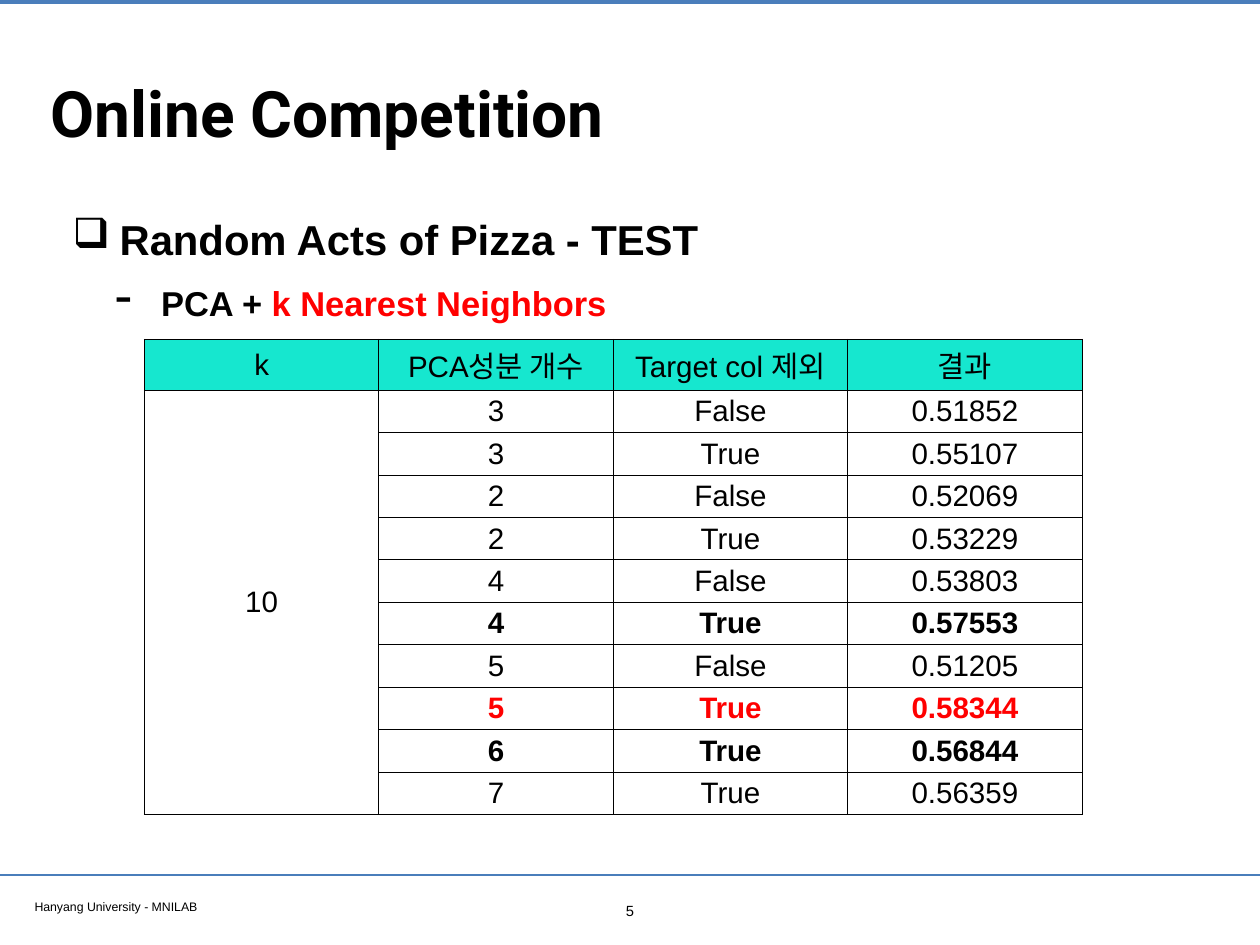
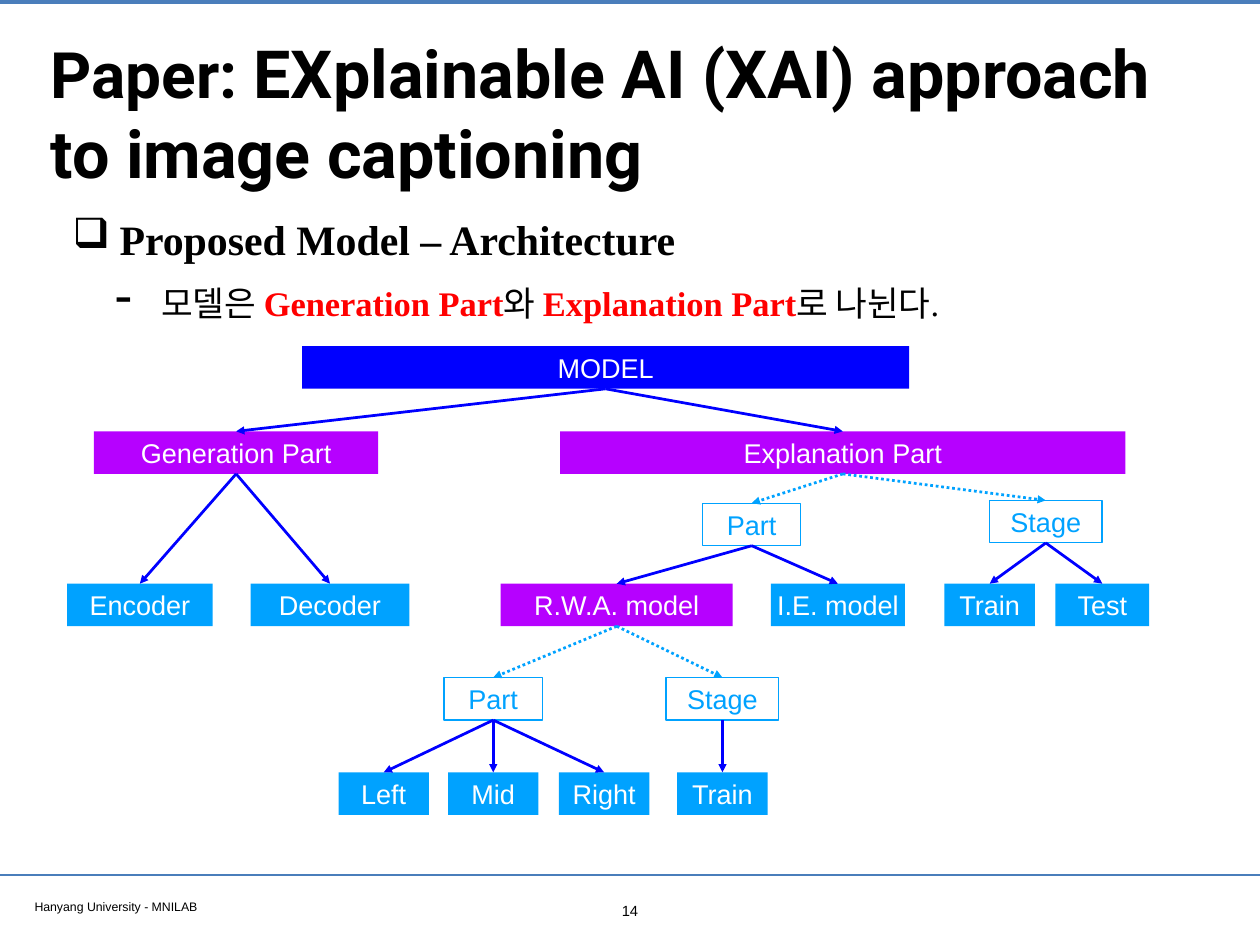
from dataclasses import dataclass

from lxml import etree
from pptx import Presentation
from pptx import util as u
from pptx.dml.color import RGBColor
from pptx.enum import dml, shapes, text
from pptx.oxml import ns


@dataclass(frozen=True)
class Theme:
    """Colours, fonts and type sizes shared by all slides."""
    black: str = "000000"
    white: str = "FFFFFF"
    red: str = "FF0000"
    rule: str = "4A7EBB"
    head: str = "16E7CF"
    blue: str = "0000FF"
    violet: str = "B601FF"
    sky: str = "00A2FF"
    sans: str = "Arial"
    serif: str = "Times New Roman"
    title: str = "Roboto"
    big: int = 52
    huge: int = 54
    topic: int = 34
    point: int = 28
    cell: int = 24
    node: int = 22
    page: int = 12
    foot: int = 10
    pad: float = 0.15


T = Theme()


@dataclass
class Node:
    """One box of the tree: label, look, centre, width, top and children."""
    label: str
    look: str
    mid: float
    wide: float
    top: float
    kids: tuple = ()


def add(parent, tag, **attrs):
    return etree.SubElement(parent, ns.qn(tag), attrs)


def style(run, size, color=T.black, bold=False, face=T.sans):
    font = run.font
    font.size, font.bold, font.name = u.Pt(size), bold, face
    font.color.rgb = RGBColor.from_string(color)


class Deck:
    WIDE, HIGH = 36.12, 27.1
    TALL = 1.22
    # look: fill, line, text
    LOOKS = {
        "root": (T.blue, None, T.white),
        "main": (T.violet, None, T.white),
        "leaf": (T.sky, None, T.white),
        "group": (T.white, T.sky, T.sky),
    }

    def __init__(self):
        self.prs = Presentation()
        self.prs.slide_width = u.Cm(self.WIDE)
        self.prs.slide_height = u.Cm(self.HIGH)
        self.slide = None

    def start(self, page, title):
        """Open a slide with its rules, footer, page number and title."""
        self.slide = self.prs.slides.add_slide(self.prs.slide_layouts[6])
        for y, width in ((0.05, 3.2), (25.1, 2)):
            self.line((0, y), (self.WIDE, y), T.rule, width)
        foot = self.box(0.84, 25.63, 13.87, 0.66)
        self.words(foot.paragraphs[0], [("Hanyang University - MNILAB", {})],
                   size=T.foot)
        num = self.box(17.56, 25.7, 1, 0.79)
        num.paragraphs[0].alignment = text.PP_ALIGN.CENTER
        self.words(num.paragraphs[0], [(str(page), {})], size=T.page)
        head = self.box(1.3, 0.71, 33.55, 5)
        head.vertical_anchor = text.MSO_ANCHOR.MIDDLE
        self.words(head.paragraphs[0], title,
                   size=T.big, bold=True, face=T.title)

    def frame(self, tf, wrap=True):
        tf.word_wrap = wrap
        tf.margin_left = tf.margin_right = u.Cm(T.pad)
        tf.margin_top = tf.margin_bottom = u.Cm(T.pad)
        return tf

    def box(self, *area):
        shape = self.slide.shapes.add_textbox(*map(u.Cm, area))
        return self.frame(shape.text_frame)

    def words(self, par, parts, **base):
        """Fill a paragraph with (text, changes) parts."""
        for part, diff in parts:
            run = par.add_run()
            run.text = part
            style(run, **{**base, **diff})

    def line(self, start, end, color, width):
        rule = self.slide.shapes.add_connector(
            shapes.MSO_CONNECTOR.STRAIGHT, *map(u.Cm, start + end))
        rule.line.color.rgb = RGBColor.from_string(color)
        rule.line.width = u.Pt(width)
        add(rule.element.spPr, "a:effectLst")
        return rule

    def body(self, topic, point, face):
        """Set the topic line and the dashed point below it."""
        tf = self.box(1.93, 5.69, 32, 4)
        rows = (
            (tf.paragraphs[0], topic, T.topic, 1.35, 1.35, "❑", 100),
            (tf.add_paragraph(), point, T.point, 2.54, 1.32, "-", 145),
        )
        for level, (par, parts, size, left, hang, mark, scale) in enumerate(rows):
            par.line_spacing = 1.2
            if level:
                par.space_before = u.Pt(8)
            props = par._p.get_or_add_pPr()
            props.set("marL", str(u.Cm(left)))
            props.set("indent", str(-u.Cm(hang)))
            add(props, "a:buSzPct", val=str(scale * 1000))
            add(props, "a:buChar", char=mark)
            self.words(par, parts, size=size, bold=True, face=face)

    def table(self, left, top, wide, heads, rows, marks):
        """Draw a grid whose first column is merged below the header."""
        data = [heads] + rows
        tall = [1.46] + [1.2] * len(rows)
        grid = self.slide.shapes.add_table(
            len(data), len(heads), u.Cm(left), u.Cm(top),
            u.Cm(wide * len(heads)), u.Cm(sum(tall))).table
        grid.first_row = grid.horz_banding = False
        for col in grid.columns:
            col.width = u.Cm(wide)
        grid.cell(1, 0).merge(grid.cell(len(rows), 0))
        for r, row in enumerate(data):
            grid.rows[r].height = u.Cm(tall[r])
            for c, label in enumerate(row):
                self.cell(grid.cell(r, c), label, r == 0,
                          marks.get(r) if c else None)

    def cell(self, cell, label, head, mark):
        cell.text_frame.text = label
        cell.vertical_anchor = text.MSO_ANCHOR.MIDDLE
        cell.margin_top = cell.margin_bottom = u.Cm(0.1)
        par = cell.text_frame.paragraphs[0]
        par.alignment = text.PP_ALIGN.CENTER
        for run in par.runs:
            style(run, T.cell, mark or T.black, mark is not None)
        # Borders come before the fill
        props = cell._tc.get_or_add_tcPr()
        for side in "LRTB":
            edge = add(props, f"a:ln{side}", w=str(u.Pt(1)))
            add(add(edge, "a:solidFill"), "a:srgbClr", val=T.black)
        if head:
            cell.fill.solid()
            cell.fill.fore_color.rgb = RGBColor.from_string(T.head)
        else:
            cell.fill.background()

    def tree(self, node):
        """Draw a node, its children and the arrows to them."""
        shape = self.node(node)
        for kid in node.kids:
            self.arrow(shape, self.tree(kid), kid.look == "group")
        return shape

    def node(self, node):
        fill, edge, ink = self.LOOKS[node.look]
        shape = self.slide.shapes.add_shape(
            shapes.MSO_SHAPE.RECTANGLE, u.Cm(node.mid - node.wide / 2),
            u.Cm(node.top), u.Cm(node.wide), u.Cm(self.TALL))
        shape.shadow.inherit = False
        shape.fill.solid()
        shape.fill.fore_color.rgb = RGBColor.from_string(fill)
        if edge:
            shape.line.color.rgb = RGBColor.from_string(edge)
            shape.line.width = u.Pt(1)
        else:
            shape.line.fill.background()
        tf = self.frame(shape.text_frame, wrap=False)
        tf.text = node.label
        tf.vertical_anchor = text.MSO_ANCHOR.MIDDLE
        tf.paragraphs[0].alignment = text.PP_ALIGN.CENTER
        style(tf.paragraphs[0].runs[0], T.node, ink)
        return shape

    def arrow(self, upper, lower, dotted):
        link = self.line((0, 0), (0, 0), T.sky if dotted else T.blue, 2.25)
        link.begin_connect(upper, 2)
        link.end_connect(lower, 0)
        if dotted:
            link.line.dash_style = dml.MSO_LINE.ROUND_DOT
        add(link.element.spPr.get_or_add_ln(), "a:tailEnd", type="triangle")


def scores(deck):
    deck.start(5, [("Online Competition", {})])
    deck.body([("Random Acts of Pizza - TEST", {})],
              [("PCA + ", {}), ("k Nearest Neighbors", {"color": T.red})],
              T.sans)
    runs = [
        ("3", "False", "0.51852"), ("3", "True", "0.55107"),
        ("2", "False", "0.52069"), ("2", "True", "0.53229"),
        ("4", "False", "0.53803"), ("4", "True", "0.57553"),
        ("5", "False", "0.51205"), ("5", "True", "0.58344"),
        ("6", "True", "0.56844"), ("7", "True", "0.56359"),
    ]
    rows = [("" if i else "10",) + run for i, run in enumerate(runs)]
    deck.table(4.14, 9.73, 6.72,
               ("k", "PCA성분 개수", "Target col 제외", "결과"), rows,
               {6: T.black, 8: T.red, 9: T.black})


def model(deck):
    deck.start(14, [
        ("Paper: ", {}),
        ("EXplainable AI (XAI) approach to image captioning",
         {"size": T.huge})])
    plain, key = {"bold": False}, {"color": T.red}
    deck.body([("Proposed Model – Architecture", {})],
              [("모델은 ", plain), ("Generation Part", key), ("와 ", plain),
               ("Explanation Part", key), ("로 나뉜다.", plain)],
              T.serif)

    # Tops of the rows and widths of the repeated boxes
    row1, row2, row3, row4, row5 = 9.93, 12.37, 16.74, 19.43, 22.15
    part, stage, small = 2.82, 3.23, 2.59

    sides = Node("Part", "group", 14.14, part, row4, (
        Node("Left", "leaf", 11, small, row5),
        Node("Mid", "leaf", 14.14, small, row5),
        Node("Right", "leaf", 17.32, small, row5)))
    step = Node("Stage", "group", 20.71, stage, row4, (
        Node("Train", "leaf", 20.71, small, row5),))
    parts = Node("Part", "group", 21.55, part, 14.43, (
        Node("R.W.A. model", "main", 17.68, 6.65, row3, (sides, step)),
        Node("I.E. model", "leaf", 24.02, 3.84, row3)))
    steps = Node("Stage", "group", 29.98, stage, 14.35, (
        Node("Train", "leaf", 28.37, small, row3),
        Node("Test", "leaf", 31.6, 2.69, row3)))
    deck.tree(Node("MODEL", "root", 17.36, 17.4, row1, (
        Node("Generation Part", "main", 6.77, 8.15, row2, (
            Node("Encoder", "leaf", 4.01, 4.17, row3),
            Node("Decoder", "leaf", 9.46, 4.55, row3))),
        Node("Explanation Part", "main", 24.16, 16.2, row2, (parts, steps)))))


def main():
    deck = Deck()
    scores(deck)
    model(deck)
    deck.prs.save("out.pptx")


if __name__ == "__main__":
    main()
